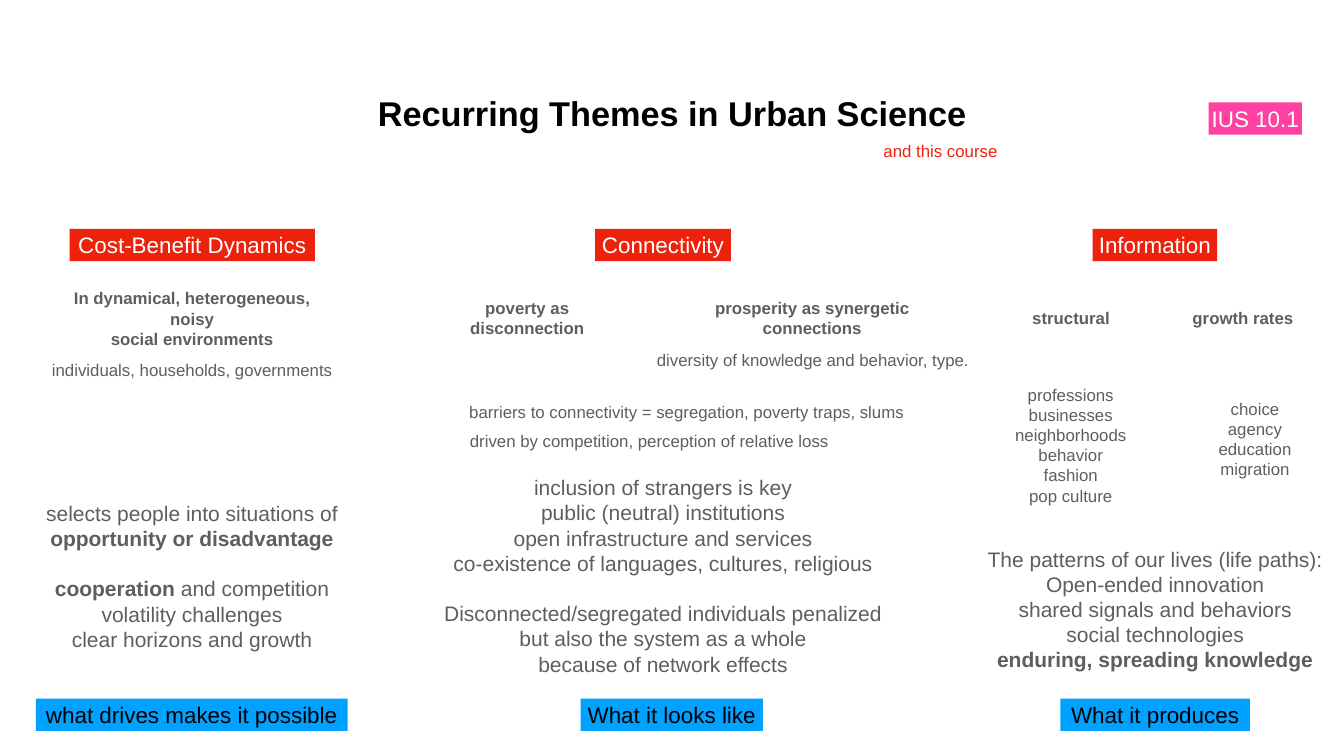
"""Build the slide on recurring themes in urban science."""
from dataclasses import dataclass
from typing import Optional

from pptx import Presentation
from pptx.dml.color import RGBColor
from pptx.enum.shapes import MSO_SHAPE
from pptx.enum.text import MSO_ANCHOR, MSO_AUTO_SIZE, PP_ALIGN
from pptx.util import Pt

RECT = MSO_SHAPE.RECTANGLE
MIDDLE = MSO_ANCHOR.MIDDLE
FIT = MSO_AUTO_SIZE.SHAPE_TO_FIT_TEXT
CENTER = PP_ALIGN.CENTER

BLACK = RGBColor(0x00, 0x00, 0x00)
WHITE = RGBColor(0xFF, 0xFF, 0xFF)
GREY = RGBColor(0x5E, 0x5E, 0x5E)
RED = RGBColor(0xED, 0x22, 0x0D)
CORAL = RGBColor(0xEE, 0x23, 0x0C)
BLUE = RGBColor(0x00, 0xA1, 0xFF)
PINK = RGBColor(0xFF, 0x42, 0xA1)

FONT = "Arial"
INSET = 4
LEAD = 1.2
CHIP_H = 46.1
LINE_H = 36
HEAD_Y = 326.9
FOOT_Y = 997.9
TOPIC_Y = 436.3


@dataclass(frozen=True)
class Chip:
    left: float
    top: float
    width: float
    text: str
    fill: RGBColor
    color: RGBColor = WHITE


@dataclass(frozen=True)
class Note:
    left: float
    top: float
    width: float
    text: str
    height: float = LINE_H
    size: int = 24
    color: RGBColor = GREY


CHIPS = (
    Chip(99.4, HEAD_Y, 350.6, "Cost-Benefit Dynamics", RED),
    Chip(850.3, HEAD_Y, 193.7, "Connectivity", RED),
    Chip(1561, HEAD_Y, 177.8, "Information", RED),
    Chip(1726.6, 146.2, 133.2, "IUS 10.1", PINK),
    Chip(51.1, FOOT_Y, 445.7, "what drives makes it possible", BLUE, BLACK),
    Chip(829.4, FOOT_Y, 260.6, "What it looks like", BLUE, BLACK),
    Chip(1514.9, FOOT_Y, 270.7, "What it produces", BLUE, BLACK),
)

NOTES = (
    Note(535, 128.2, 850.3, "**Recurring Themes in Urban Science**", 66.2, 49, BLACK),
    Note(1256.4, 198, 174.2, "and this course", color=CORAL),
    Note(67.7, 421.9, 413.3,
         "**In dynamical, heterogeneous, noisy**\n**social environments**", 65.5),
    Note(67.7, 509.8, 413.3, "individuals, households, governments"),
    Note(604.8, TOPIC_Y, 296.6, "**poverty as disconnection**"),
    Note(944.6, TOPIC_Y, 431.3, "**prosperity as synergetic connections**"),
    Note(1470.2, TOPIC_Y, 119.5, "**structural**"),
    Note(1698.5, TOPIC_Y, 154.1, "**growth rates**"),
    Note(931, 496.1, 460.1, "diversity of knowledge and behavior, type."),
    Note(661, 570.2, 639.4,
         "barriers to connectivity = segregation, poverty traps, slums"),
    Note(662.4, 612, 529.9, "driven by competition, perception of relative loss"),
    Note(1444.3, 545, 170.6,
         "professions\nbusinesses\nneighborhoods\nbehavior\nfashion\npop culture",
         181.4),
    Note(1735.2, 565.2, 115.2, "choice\nagency\neducation\nmigration", 123.1),
    Note(53.3, 709.9, 442.1,
         "selects people into situations of\n**opportunity or disadvantage**\n\n"
         "**cooperation** and competition\nvolatility challenges\n"
         "clear horizons and growth", 225.4, 30),
    Note(626.4, 674.6, 641.5,
         "inclusion of strangers is key\npublic (neutral) institutions\n"
         "open infrastructure and services\n"
         "co-existence of languages, cultures, religious\n\n"
         "Disconnected/segregated individuals penalized\n"
         "but also the system as a whole\nbecause of network effects", 295.2, 30),
    Note(1406.9, 776.2, 486.7,
         "The patterns of our lives (life paths):\nOpen-ended innovation\n"
         "shared signals and behaviors\nsocial technologies\n"
         "**enduring, spreading knowledge**", 187.9, 30),
)


def write(shape, text: str, *, size: int, color: RGBColor,
          lead: Optional[float] = None) -> None:
    """Fill a shape; ** toggles bold and an empty line opens a one-line gap."""
    frame = shape.text_frame
    frame.word_wrap = False
    frame.auto_size = FIT
    frame.vertical_anchor = MIDDLE
    frame.margin_left = frame.margin_right = Pt(INSET)
    frame.margin_top = frame.margin_bottom = Pt(INSET)
    para = None
    for block in text.split("\n\n"):
        for row, line in enumerate(block.split("\n")):
            gap = para is not None and row == 0
            para = frame.add_paragraph() if para else frame.paragraphs[0]
            para.alignment = CENTER
            if lead:
                para.line_spacing = Pt(size * lead)
            if gap:
                para.space_before = Pt(size * LEAD)
            for part, words in enumerate(line.split("**")):
                if words:
                    run = para.add_run()
                    run.text = words
                    run.font.name = FONT
                    run.font.size = Pt(size)
                    run.font.bold = part % 2 == 1
                    run.font.color.rgb = color


def draw_chip(page, chip: Chip) -> None:
    """Draw a label on a filled box."""
    shape = page.shapes.add_shape(
        RECT, Pt(chip.left), Pt(chip.top), Pt(chip.width), Pt(CHIP_H))
    shape.shadow.inherit = False
    shape.fill.solid()
    shape.fill.fore_color.rgb = chip.fill
    shape.line.fill.background()
    write(shape, chip.text, size=32, color=chip.color)


def draw_note(page, note: Note) -> None:
    """Draw plain text with no box."""
    shape = page.shapes.add_textbox(
        Pt(note.left), Pt(note.top), Pt(note.width), Pt(note.height))
    write(shape, note.text, size=note.size, color=note.color, lead=LEAD)


def main() -> None:
    """Build and save the slide."""
    deck = Presentation()
    deck.slide_width, deck.slide_height = Pt(1920), Pt(1080)
    page = deck.slides.add_slide(deck.slide_layouts[6])
    for note in NOTES:
        draw_note(page, note)
    for chip in CHIPS:
        draw_chip(page, chip)
    deck.save("out.pptx")


if __name__ == "__main__":
    main()
